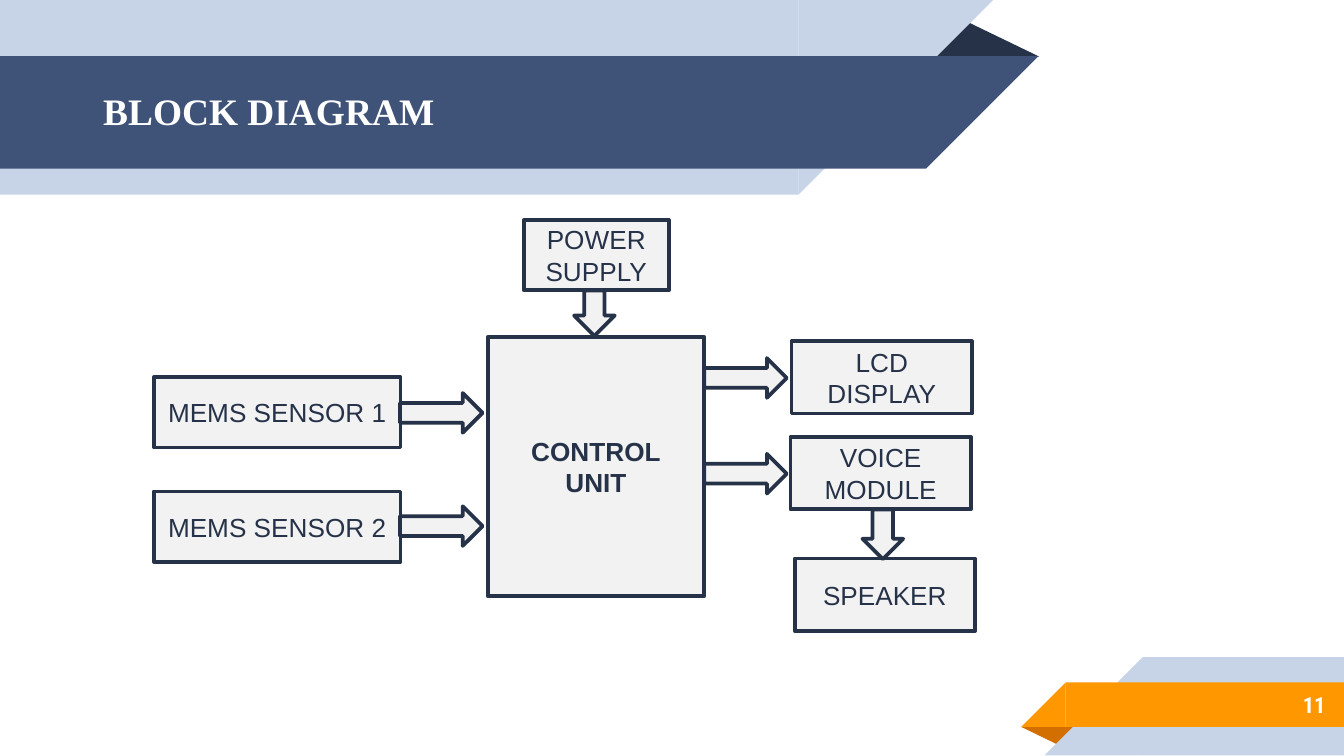
import pptx
import pptx.dml.color
import pptx.enum.shapes
import pptx.enum.text
import pptx.util

Cm = pptx.util.Cm
RGBColor = pptx.dml.color.RGBColor
SHAPE = pptx.enum.shapes.MSO_SHAPE
ALIGN = pptx.enum.text.PP_ALIGN

NAVY = RGBColor(0x26, 0x32, 0x48)
BLUE = RGBColor(0x3F, 0x53, 0x78)
PALE_BLUE = RGBColor(0xC7, 0xD3, 0xE6)
ORANGE = RGBColor(0xFF, 0x98, 0x00)
DARK_ORANGE = RGBColor(0xD2, 0x6F, 0x00)
GREY = RGBColor(0xF2, 0xF2, 0xF2)
WHITE = RGBColor(0xFF, 0xFF, 0xFF)

SLIDE_WIDTH, SLIDE_HEIGHT = 25.4, 14.29

# Left, top, width, height in cm
BLOCKS = {
    "POWER SUPPLY": (9.9, 4.16, 2.74, 1.33),
    "MEMS SENSOR 1": (2.91, 7.13, 4.66, 1.33),
    "MEMS SENSOR 2": (2.91, 9.29, 4.66, 1.33),
    "LCD DISPLAY": (14.96, 6.45, 3.41, 1.37),
    "VOICE MODULE": (14.94, 8.26, 3.41, 1.37),
    "SPEAKER": (15.02, 10.56, 3.41, 1.37),
}
CONTROLLER = (9.22, 6.37, 4.09, 4.9)
SIGNALS = [(7.56, 7.43), (7.56, 9.57), (13.31, 6.77), (13.31, 8.58)]
DOWN_ARROWS = [(16.3, 9.63, 0.77, 0.94), (10.85, 5.49, 0.77, 0.86)]


def set_format(target, values):
    for attribute, value in values.items():
        setattr(target, attribute, value)


def add_filled(slide, kind, box, color, rotation=0):
    shape = slide.shapes.add_shape(kind, *map(Cm, box))
    shape.shadow.inherit = False
    shape.rotation = rotation
    shape.fill.solid()
    shape.fill.fore_color.rgb = color
    shape.line.fill.background()
    return shape


def add_fold(slide, box, color, rotation=0):
    fold = add_filled(slide, SHAPE.ISOSCELES_TRIANGLE, box, color, rotation)
    fold.adjustments[0] = 0.32


def add_top_band(slide, top, length, height, color):
    """Band from the left edge with a 45 degree cut at its right end."""
    add_filled(slide, SHAPE.RECTANGLE, (0, top, length, height), color)
    add_filled(slide, SHAPE.RIGHT_TRIANGLE, (length, top, height, height), color, 90)


def add_bottom_band(slide, left, top, height, color):
    """Band to the right edge with a 45 degree cut at its left end."""
    start = left + height
    add_filled(slide, SHAPE.RECTANGLE, (start, top, SLIDE_WIDTH - start, height), color)
    add_filled(slide, SHAPE.RIGHT_TRIANGLE, (left, top, height, height), color, 270)


def write(shape, lines, align, inset, font):
    frame = shape.text_frame
    set_format(frame, {
        "word_wrap": True,
        "vertical_anchor": pptx.enum.text.MSO_ANCHOR.MIDDLE,
        "margin_left": Cm(inset), "margin_right": Cm(inset),
        "margin_top": Cm(0.13), "margin_bottom": Cm(0.13),
    })
    name, size, color, bold = font
    for index, line in enumerate(lines):
        paragraph = frame.add_paragraph() if index else frame.paragraphs[0]
        paragraph.alignment = align
        run = paragraph.add_run()
        run.text = line
        set_format(run.font, {"name": name, "size": pptx.util.Pt(size), "bold": bold})
        run.font.color.rgb = color


def add_label(slide, box, text, align, font):
    label = slide.shapes.add_textbox(*map(Cm, box))
    write(label, [text], align, 0.25, font)


def add_outlined(slide, kind, box):
    shape = add_filled(slide, kind, box, GREY)
    shape.line.color.rgb = NAVY
    shape.line.width = pptx.util.Pt(2)
    return shape


def add_block(slide, box, lines, bold=False):
    block = add_outlined(slide, SHAPE.RECTANGLE, box)
    write(block, lines, ALIGN.CENTER, 0.2, ("Arial", 14, NAVY, bold))


def main():
    deck = pptx.Presentation()
    set_format(deck, {"slide_width": Cm(SLIDE_WIDTH), "slide_height": Cm(SLIDE_HEIGHT)})
    slide = deck.slides.add_slide(deck.slide_layouts[6])

    # Title ribbon
    add_fold(slide, (17.48, 0.36, 2.16, 0.71), NAVY)
    add_top_band(slide, 0, 15.09, 3.68, PALE_BLUE)
    add_top_band(slide, 1.06, 17.5, 2.13, BLUE)

    # Page number ribbon
    add_fold(slide, (19.3, 13.74, 1.09, 0.36), DARK_ORANGE, 180)
    add_bottom_band(slide, 19.74, 12.42, 1.86, PALE_BLUE)
    add_bottom_band(slide, 19.3, 12.9, 0.84, ORANGE)

    # Title and page number
    add_label(slide, (1.7, 1.02, 14.61, 2.13), "BLOCK DIAGRAM", ALIGN.LEFT,
              ("Times New Roman", 20, WHITE, True))
    add_label(slide, (21.16, 12.88, 4.14, 0.89), "11", ALIGN.RIGHT,
              ("Roboto Condensed", 12, WHITE, True))

    # Blocks
    add_block(slide, CONTROLLER, ["CONTROL", "UNIT"], bold=True)
    for name, box in BLOCKS.items():
        add_block(slide, box, [name])

    # Arrows between the blocks
    for left, top in SIGNALS:
        add_outlined(slide, SHAPE.RIGHT_ARROW, (left, top, 1.56, 0.75))
    for box in DOWN_ARROWS:
        add_outlined(slide, SHAPE.DOWN_ARROW, box)

    deck.save("out.pptx")


if __name__ == "__main__":
    main()
